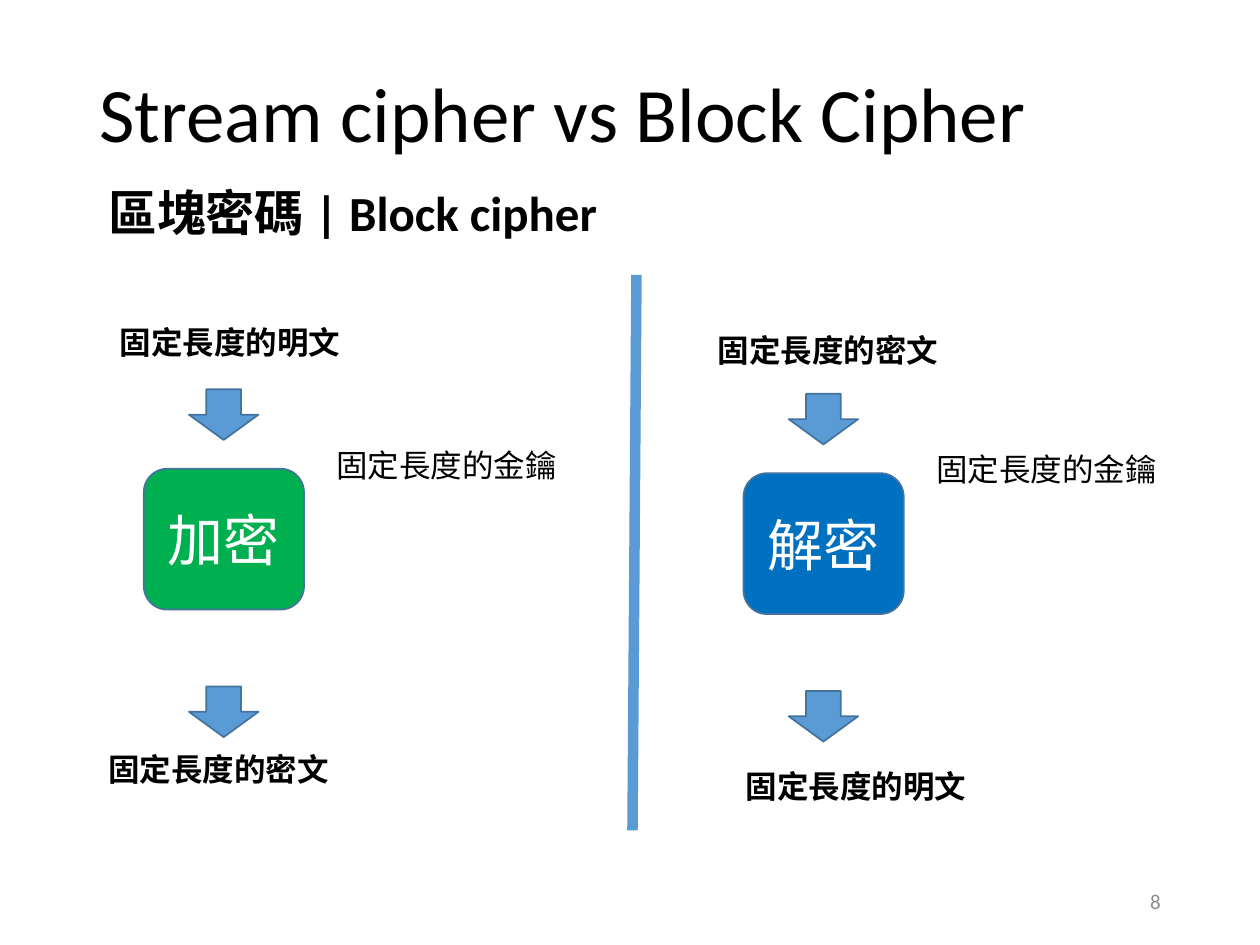
import pptx
import pptx.util
from lxml import etree
from pptx.dml.color import RGBColor
from pptx.enum.shapes import MSO_CONNECTOR, MSO_SHAPE
from pptx.enum.text import MSO_ANCHOR, MSO_AUTO_SIZE, PP_ALIGN
from pptx.oxml.ns import qn
from pptx.util import Cm

BLACK = RGBColor(0x00, 0x00, 0x00)
WHITE = RGBColor(0xFF, 0xFF, 0xFF)
GREY = RGBColor(0x8C, 0x8C, 0x8C)
LIGHT_BLUE = RGBColor(0x5B, 0x9B, 0xD5)
EDGE_BLUE = RGBColor(0x43, 0x73, 0x9E)
GREEN = RGBColor(0x00, 0xB0, 0x50)
BLUE = RGBColor(0x00, 0x70, 0xC0)
LATIN = "Calibri"
CJK = "Noto Sans CJK SC"


class CipherSlide:
    """Style and drawing methods for one slide."""

    def __init__(self, slide):
        self.slide = slide

    def add_words(self, frame, words, size, color=BLACK, bold=False, font=LATIN,
                  align=PP_ALIGN.LEFT, spacing=None):
        paragraph = frame.paragraphs[0]
        paragraph.alignment = align
        if spacing:
            paragraph.line_spacing = spacing
        run = paragraph.add_run()
        run.text = words
        run.font.size = pptx.util.Pt(size)
        run.font.bold = bold
        run.font.color.rgb = color
        run.font.name = font
        east_asian = etree.SubElement(run.font._element, qn("a:ea"))
        east_asian.set("typeface", CJK)

    def text(self, left, top, width, height, words, size,
             anchor=MSO_ANCHOR.TOP, wrap=True, **style):
        box = self.slide.shapes.add_textbox(Cm(left), Cm(top), Cm(width), Cm(height))
        frame = box.text_frame
        frame.word_wrap = wrap
        frame.vertical_anchor = anchor
        if not wrap:
            frame.auto_size = MSO_AUTO_SIZE.SHAPE_TO_FIT_TEXT
        self.add_words(frame, words, size, **style)

    def label(self, left, top, words, width=5.0, **style):
        self.text(left, top, width, 1.02, words, 18, wrap=False, **style)

    def shape(self, preset, left, top, width, height, fill):
        shape = self.slide.shapes.add_shape(
            preset, Cm(left), Cm(top), Cm(width), Cm(height))
        shape.shadow.inherit = False
        shape.fill.solid()
        shape.fill.fore_color.rgb = fill
        shape.line.color.rgb = EDGE_BLUE
        shape.line.width = pptx.util.Pt(1)
        return shape

    def arrow(self, left, top):
        self.shape(MSO_SHAPE.DOWN_ARROW, left, top, 1.4, 1.02, LIGHT_BLUE)

    def step(self, left, top, words, fill):
        box = self.shape(MSO_SHAPE.ROUNDED_RECTANGLE, left, top, 3.23, 2.84, fill)
        box.text_frame.vertical_anchor = MSO_ANCHOR.MIDDLE
        self.add_words(box.text_frame, words, 32, color=WHITE, align=PP_ALIGN.CENTER)

    def divider(self, x1, y1, x2, y2):
        line = self.slide.shapes.add_connector(
            MSO_CONNECTOR.STRAIGHT, Cm(x1), Cm(y1), Cm(x2), Cm(y2))
        line.line.color.rgb = LIGHT_BLUE
        line.line.width = pptx.util.Pt(6)
        etree.SubElement(line._element.spPr, qn("a:effectLst"))

    def flow(self, dx, dy, step, fill):
        """Arrow, operation with its key, arrow."""
        self.arrow(3.81 + dx, 7.85 + dy)
        self.step(2.9 + dx, 9.45 + dy, step, fill)
        self.label(6.53 + dx, 8.86 + dy, "固定長度的⾦鑰")
        self.arrow(3.81 + dx, 13.84 + dy)


def main():
    deck = pptx.Presentation()
    deck.slide_width, deck.slide_height = Cm(25.4), Cm(19.05)
    page = CipherSlide(deck.slides.add_slide(deck.slide_layouts[6]))

    # Headings and page number
    page.text(1.75, 1.02, 21.9, 2.69, "Stream cipher vs Block Cipher", 44,
              anchor=MSO_ANCHOR.MIDDLE, spacing=0.9)
    page.text(1.93, 3.68, 10.82, 1.63, "區塊密碼 | Block cipher", 28,
              bold=True, spacing=0.9)
    page.text(17.93, 17.65, 5.72, 1.02, "8", 12, anchor=MSO_ANCHOR.MIDDLE,
              color=GREY, align=PP_ALIGN.RIGHT)

    # Encryption on the left, decryption on the right
    page.flow(0, 0, "加密", GREEN)
    page.flow(12.09, 0.09, "解密", BLUE)

    # Inputs and outputs
    for left, top in ((2.16, 6.38), (14.78, 15.34)):
        page.label(left, top, "固定長度的明⽂", bold=True)
    for left, top in ((1.93, 14.99), (14.22, 6.55)):
        page.label(left, top, "固定長度的密⽂", width=5.18, bold=True, font=CJK)

    # Line between the two halves
    page.divider(12.83, 5.54, 12.75, 16.74)

    deck.save("out.pptx")


if __name__ == "__main__":
    main()
